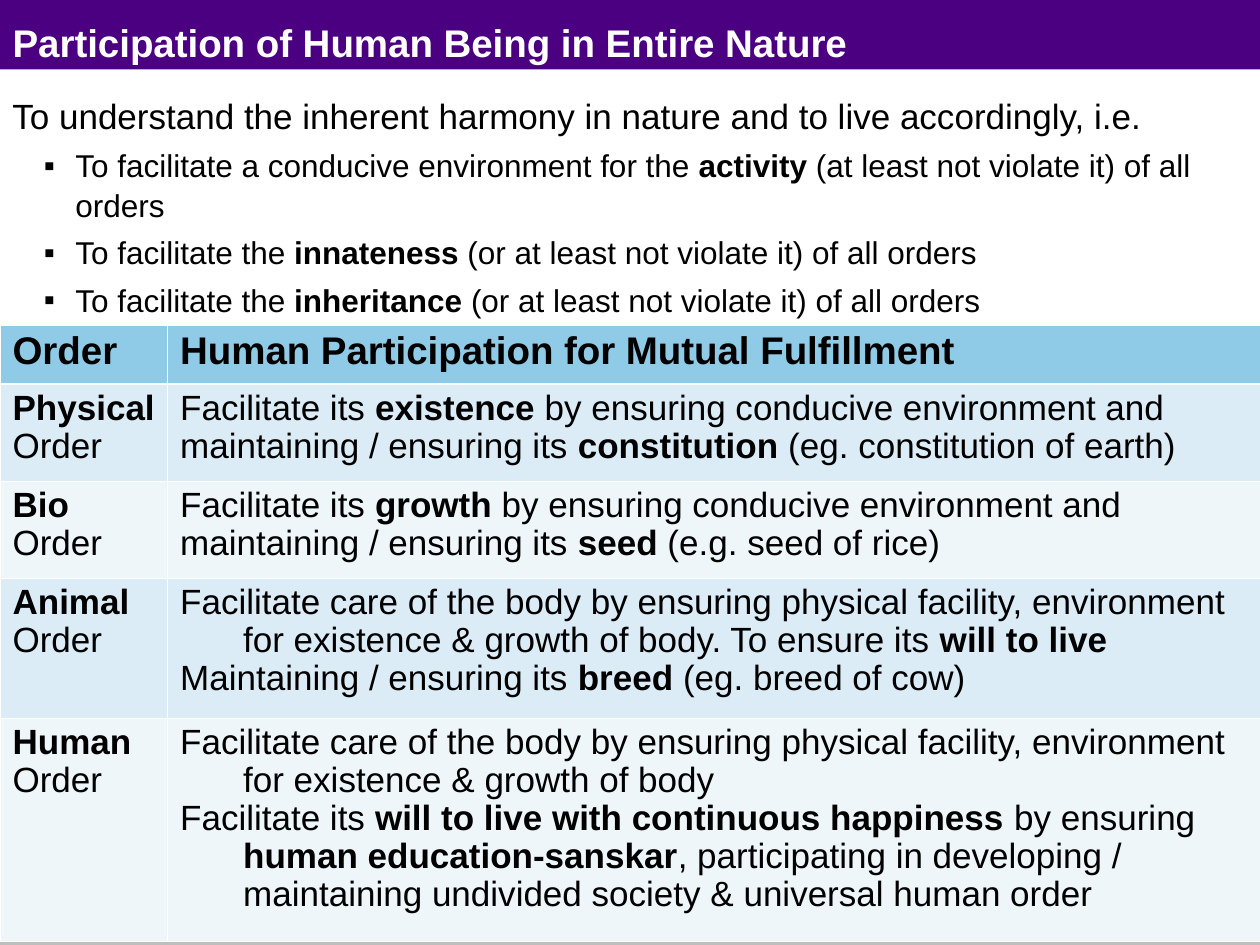
from lxml import etree
from pptx import Presentation
from pptx.dml.color import RGBColor
from pptx.enum.shapes import MSO_SHAPE
from pptx.enum.text import MSO_ANCHOR, MSO_AUTO_SIZE, PP_ALIGN
from pptx.oxml.ns import qn
from pptx.util import Emu, Inches, Pt

RECTANGLE = MSO_SHAPE.RECTANGLE
TOP = MSO_ANCHOR.TOP
NO_FIT = MSO_AUTO_SIZE.NONE
LEFT = PP_ALIGN.LEFT

FONT = "Arial"
BLACK, WHITE = "000000", "FFFFFF"
PURPLE, GREY = "4B0082", "BEBEBE"
HEADER_BLUE, BAND_BLUE, BAND_PALE = "8FCAE7", "DBECF6", "EEF6FA"

TITLE = "Participation of Human Being in Entire Nature"
INTRO = "To understand the inherent harmony in nature and to live accordingly, i.e."
AIMS = [
    "To facilitate a conducive environment for the *activity* (at least not violate it) of all orders",
    "To facilitate the *innateness* (or at least not violate it) of all orders",
    "To facilitate the *inheritance* (or at least not violate it) of all orders",
]
CARE = ("Facilitate care of the body by ensuring physical facility, environment "
        "for existence & growth of body")
CONDUCIVE = " by ensuring conducive environment and maintaining / ensuring its "
ORDERS = [
    ("*Order*", ["*Human Participation for Mutual Fulfillment*"]),
    ("*Physical* Order",
     [f"Facilitate its *existence*{CONDUCIVE}*constitution* (eg. constitution of earth)"]),
    ("*Bio *Order",
     [f"Facilitate its *growth*{CONDUCIVE}*seed* (e.g. seed of rice)"]),
    ("*Animal* Order",
     [f"{CARE}. To ensure its* will to live*",
      "Maintaining / ensuring its *breed* (eg. breed of cow)"]),
    ("*Human* Order",
     [CARE,
      "Facilitate its* will to live with continuous happiness *by ensuring "
      "*human education-sanskar*, participating in developing / "
      "maintaining undivided society & universal human order"]),
]
COLUMN_WIDTHS = [1.33, 8.67]
ROW_HEIGHTS = [0.47, 0.77, 0.77, 1.11, 1.77]


def color(value):
    """Turn a hex string into a colour."""
    return RGBColor.from_string(value)


def add_runs(para, text, size, shade=BLACK):
    """Add text to a paragraph, with the parts between asterisks in bold."""
    para.alignment = LEFT
    for index, part in enumerate(text.split("*")):
        if part:
            span = para.add_run()
            span.text = part
            span.font.name = FONT
            span.font.size = Pt(size)
            span.font.bold = index % 2 == 1
            span.font.color.rgb = color(shade)


def set_indent(para, left, first):
    """Set the left margin and first-line indent of a paragraph."""
    properties = para._p.get_or_add_pPr()
    properties.set("marL", str(Inches(left)))
    properties.set("indent", str(Inches(first)))


def add_bullet(para):
    """Give a paragraph a black square bullet."""
    properties = para._p.get_or_add_pPr()
    shade = etree.SubElement(properties, qn("a:buClr"))
    etree.SubElement(shade, qn("a:srgbClr"), val=BLACK)
    etree.SubElement(properties, qn("a:buFont"), typeface=FONT)
    etree.SubElement(properties, qn("a:buChar"), char="▪")


def add_bar(page, box, fill):
    """Place a plain bar behind the title."""
    bar = page.shapes.add_shape(RECTANGLE, *map(Inches, box))
    bar.shadow.inherit = False
    bar.fill.solid()
    bar.fill.fore_color.rgb = color(fill)
    bar.line.fill.background()
    page.shapes.title.element.addprevious(bar.element)


def place_title(page, box):
    """Move the title placeholder and write the title."""
    title = page.shapes.title
    title.left, title.top, title.width, title.height = map(Inches, box)
    frame = title.text_frame
    frame.auto_size = NO_FIT
    frame.vertical_anchor = TOP
    add_runs(frame.paragraphs[0], f"*{TITLE}*", 22, WHITE)


def add_aims(page, box):
    """Place the introduction and its bulleted aims."""
    frame = page.shapes.add_textbox(*map(Inches, box)).text_frame
    frame.word_wrap = True
    intro = frame.paragraphs[0]
    set_indent(intro, 0.25, -0.25)
    add_runs(intro, INTRO, 20)
    for aim in AIMS:
        para = frame.add_paragraph()
        para.level = 1
        para.line_spacing = 1.05
        para.space_before = Pt(4.5)
        set_indent(para, 0.5, -0.25)
        add_bullet(para)
        add_runs(para, aim, 18)


def set_borders(cell, widths):
    """Draw white cell borders, with widths in points by side."""
    properties = cell._tc.get_or_add_tcPr()
    for side, width in widths.items():
        line = etree.SubElement(properties, qn(f"a:ln{side}"), w=str(Emu(Pt(width))))
        fill = etree.SubElement(line, qn("a:solidFill"))
        etree.SubElement(fill, qn("a:srgbClr"), val=WHITE)


def fill_cell(cell, texts, row):
    """Write and format one cell of the given row."""
    set_borders(cell, {"L": 0.45, "R": 0.45,
                       "T": 1.47 if row == 1 else 0.45,
                       "B": 1.47 if row == 0 else 0.45})
    cell.fill.solid()
    bands = BAND_BLUE if row % 2 else BAND_PALE
    cell.fill.fore_color.rgb = color(bands if row else HEADER_BLUE)
    frame = cell.text_frame
    for index, text in enumerate(texts):
        para = frame.add_paragraph() if index else frame.paragraphs[0]
        para.line_spacing = 0.97
        if len(texts) > 1:
            set_indent(para, 0.5, -0.5)
        add_runs(para, text, 20 if row else 22)


def add_orders(page, box):
    """Place the table of the orders and the human participation in each."""
    table = page.shapes.add_table(len(ORDERS), 2, *map(Inches, box)).table
    table.horz_banding = False
    for column, width in zip(table.columns, COLUMN_WIDTHS):
        column.width = Inches(width)
    for row, (name, participation) in enumerate(ORDERS):
        table.rows[row].height = Inches(ROW_HEIGHTS[row])
        fill_cell(table.cell(row, 0), [name], row)
        fill_cell(table.cell(row, 1), participation, row)


def main():
    """Build the deck and save it."""
    deck = Presentation()
    deck.slide_width, deck.slide_height = Inches(10), Inches(7.5)
    page = deck.slides.add_slide(deck.slide_layouts[5])
    add_bar(page, (0, 0, 10, 0.55), PURPLE)
    add_bar(page, (0, 7.19, 10, 0.33), GREY)
    place_title(page, (0, 0.1, 10, 0.42))
    add_aims(page, (0, 0.7, 10, 1.85))
    add_orders(page, (0, 2.58, 10, sum(ROW_HEIGHTS)))
    deck.save("out.pptx")


if __name__ == "__main__":
    main()
